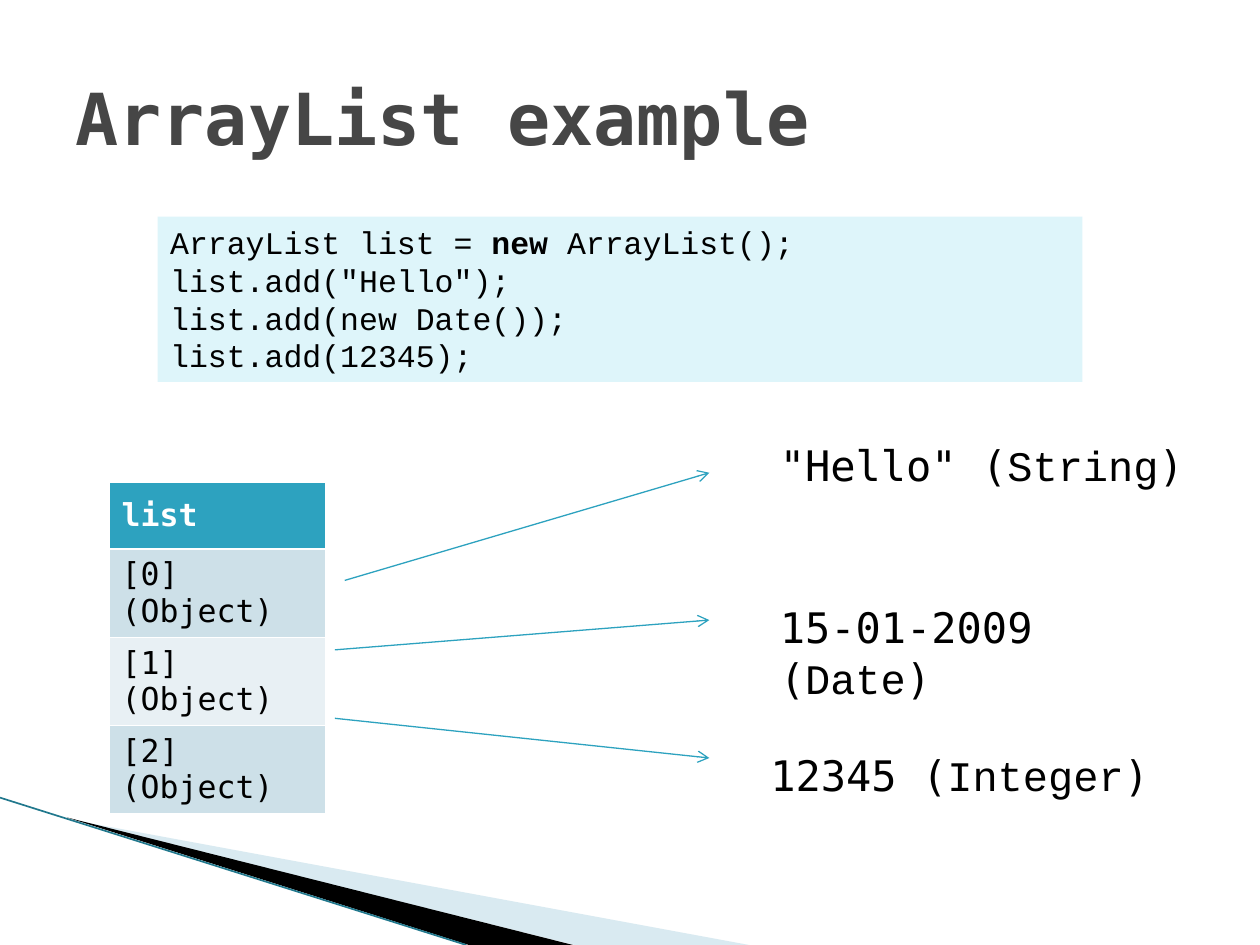
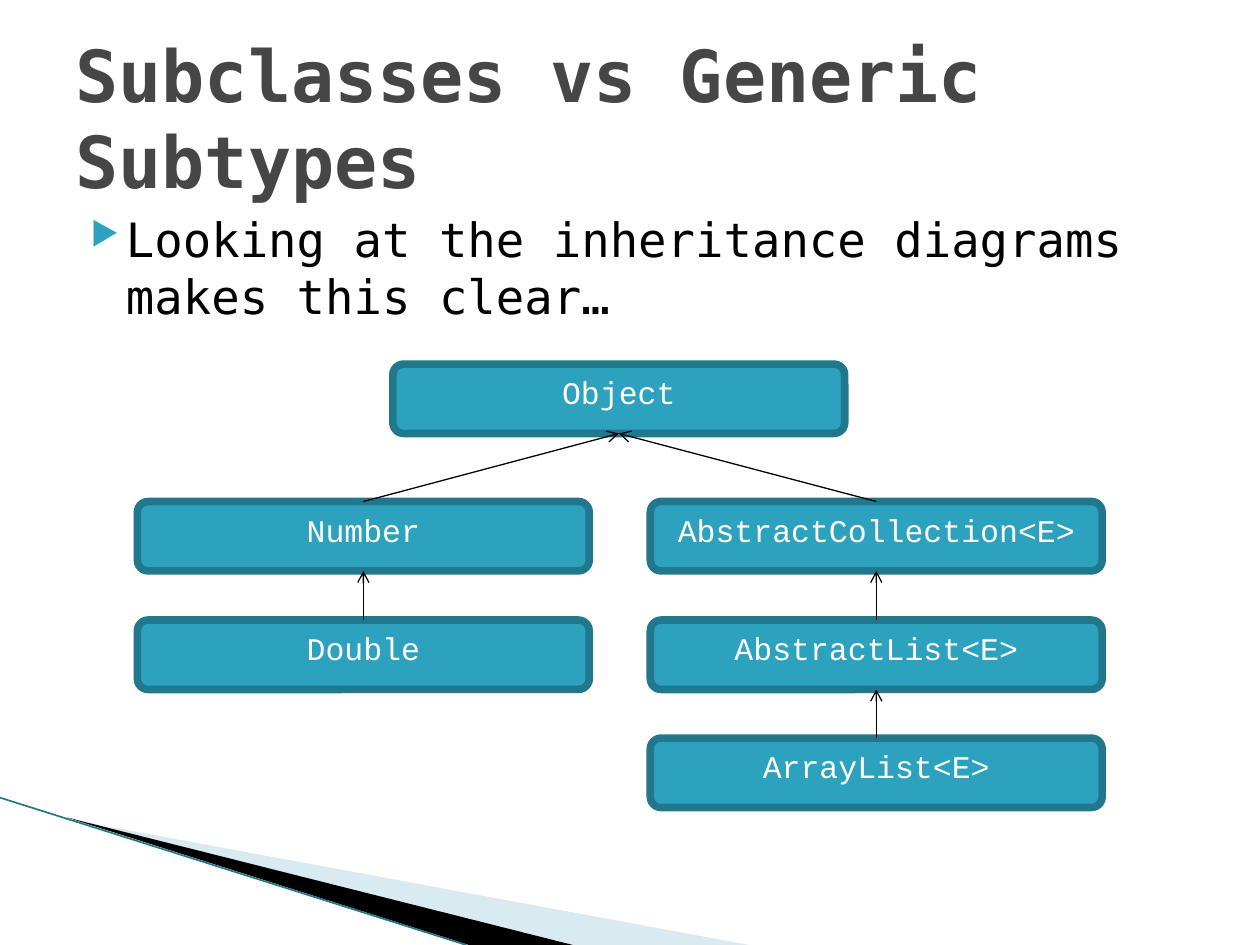
from lxml.etree import SubElement
from pptx import Presentation
from pptx.dml.color import RGBColor
from pptx.enum.shapes import MSO_CONNECTOR, MSO_SHAPE
from pptx.enum.text import MSO_ANCHOR, PP_ALIGN
from pptx.oxml.ns import qn
from pptx.util import Cm, Pt

TEAL = RGBColor(0x2D, 0xA2, 0xBF)
DARK_TEAL = RGBColor(0x21, 0x78, 0x8D)
PALE_TEAL = RGBColor(0xA0, 0xCB, 0xDC)
CODE_FILL = RGBColor(0xDE, 0xF5, 0xFA)
BAND_DARK = RGBColor(0xCD, 0xE0, 0xE8)
BAND_LIGHT = RGBColor(0xE8, 0xF0, 0xF4)
TITLE_GREY = RGBColor(0x46, 0x46, 0x46)
BLACK = RGBColor(0, 0, 0)
WHITE = RGBColor(0xFF, 0xFF, 0xFF)
SANS_MONO = "DejaVu Sans Mono"
COURIER = "Courier New"


def add_run(paragraph, text, size, font=SANS_MONO, colour=BLACK, bold=False):
    """Append one formatted run to a paragraph."""
    run = paragraph.add_run()
    run.text = text
    run.font.size = Pt(size)
    run.font.name = font
    run.font.color.rgb = colour
    run.font.bold = bold


def add_line(slide, start, end, colour, width=0.75, arrow=True):
    """Draw a straight line between two points in centimetres."""
    line = slide.shapes.add_connector(
        MSO_CONNECTOR.STRAIGHT, *(Cm(value) for value in start + end))
    line.line.color.rgb = colour
    line.line.width = Pt(width)
    if arrow:
        SubElement(line.line._get_or_add_ln(), qn("a:tailEnd"), type="arrow")
    SubElement(line._element.spPr, qn("a:effectLst"))
    return line


presentation = Presentation()
presentation.slide_width = Cm(25.4)
presentation.slide_height = Cm(19.05)

# Shared parts: corner bands and title
BANDS = [
    ([(1.4, 16.52), (15.1, 19.05), (11.58, 19.05)], PALE_TEAL, 40),
    ([(1.35, 16.48), (11.55, 19.05), (9.45, 19.05)], BLACK, 100),
]
slides = []
for title in ("ArrayList example", "Subclasses vs Generic Subtypes"):
    slide = presentation.slides.add_slide(presentation.slide_layouts[6])
    slides.append(slide)
    for points, colour, opacity in BANDS:
        corners = [(Cm(x), Cm(y)) for x, y in points]
        builder = slide.shapes.build_freeform(*corners[0])
        builder.add_line_segments(corners[1:], close=True)
        band = builder.convert_to_shape()
        band.shadow.inherit = False
        band.fill.solid()
        band.fill.fore_color.rgb = colour
        band.line.fill.background()
        if opacity < 100:
            colour_element = band._element.spPr.find(
                qn("a:solidFill")).find(qn("a:srgbClr"))
            SubElement(colour_element, qn("a:alpha"), val=str(opacity * 1000))
    add_line(slide, (0, 16.08), (9.4, 19.05), DARK_TEAL, 0.95, arrow=False)

    title_box = slide.shapes.add_textbox(Cm(1.27), Cm(0.76), Cm(22.86), Cm(3.18))
    title_box.text_frame.word_wrap = True
    title_box.text_frame.vertical_anchor = MSO_ANCHOR.MIDDLE
    add_run(title_box.text_frame.paragraphs[0], title, 41, colour=TITLE_GREY, bold=True)

list_slide, tree_slide = slides

# Slide 1: list table, arrows to the stored objects, code
table = list_slide.shapes.add_table(
    4, 1, Cm(2.2), Cm(9.73), Cm(4.37), Cm(5.36)).table
rows = [
    ("list", TEAL, WHITE),
    ("[0] (Object)", BAND_DARK, BLACK),
    ("[1] (Object)", BAND_LIGHT, BLACK),
    ("[2] (Object)", BAND_DARK, BLACK),
]
for index, (text, fill, colour) in enumerate(rows):
    cell = table.cell(index, 0)
    cell.fill.solid()
    cell.fill.fore_color.rgb = fill
    cell.vertical_anchor = MSO_ANCHOR.MIDDLE
    add_run(cell.text_frame.paragraphs[0], text, 18, colour=colour, bold=index == 0)

values = [
    ('"Hello"', "String", (15.47, 8.74), (6.95, 11.7), (14.3, 9.53)),
    ("15-01-2009", "Date", (15.47, 12.01), (6.75, 13.1), (14.3, 12.5)),
    ("12345", "Integer", (15.28, 14.99), (6.75, 14.48), (14.3, 15.28)),
]
for value, class_name, (left, top), start, end in values:
    add_line(list_slide, start, end, TEAL)
    label = list_slide.shapes.add_textbox(Cm(left), Cm(top), Cm(8.74), Cm(1.27))
    label.text_frame.word_wrap = True
    paragraph = label.text_frame.paragraphs[0]
    add_run(paragraph, value + " (", 24)
    add_run(paragraph, class_name, 24, COURIER)
    add_run(paragraph, ")", 24)

code_box = list_slide.shapes.add_shape(
    MSO_SHAPE.RECTANGLE, Cm(3.18), Cm(4.37), Cm(18.64), Cm(3.33))
code_box.shadow.inherit = False
code_box.fill.solid()
code_box.fill.fore_color.rgb = CODE_FILL
code_box.line.fill.background()
frame = code_box.text_frame
frame.vertical_anchor = MSO_ANCHOR.TOP
code_lines = [
    [("ArrayList list = ", False), ("new ", True), ("ArrayList();", False)],
    [('list.add("Hello");', False)],
    [("list.add(new Date());", False)],
    [("list.add(12345);", False)],
]
for index, runs in enumerate(code_lines):
    paragraph = frame.paragraphs[0] if index == 0 else frame.add_paragraph()
    paragraph.alignment = PP_ALIGN.LEFT
    for text, bold in runs:
        add_run(paragraph, text, 18, COURIER, bold=bold)

# Slide 2: bullet and inheritance tree
body = tree_slide.shapes.add_textbox(Cm(1.27), Cm(4.11), Cm(22.86), Cm(2.6))
body.text_frame.word_wrap = True
paragraph = body.text_frame.paragraphs[0]
paragraph.space_before = Pt(4)
properties = paragraph._p.get_or_add_pPr()
properties.set("marL", str(Cm(1.02)))
properties.set("indent", str(Cm(-0.71)))
bullet_colour = SubElement(properties, qn("a:buClr"))
SubElement(bullet_colour, qn("a:srgbClr"), val=str(TEAL))
SubElement(properties, qn("a:buSzPct"), val="68000")
SubElement(properties, qn("a:buChar"), char="▶")
add_run(paragraph, "Looking at the inheritance diagrams makes this clear…", 27)

LEFT, CENTRE, RIGHT = 2.77, 7.92, 13.11
ROW_TOPS = [7.34, 10.11, 12.5, 14.88]
# class name, column, row, parent class
classes = [
    ("Object", CENTRE, 0, None),
    ("Number", LEFT, 1, "Object"),
    ("Double", LEFT, 2, "Number"),
    ("AbstractCollection<E>", RIGHT, 1, "Object"),
    ("AbstractList<E>", RIGHT, 2, "AbstractCollection<E>"),
    ("ArrayList<E>", RIGHT, 3, "AbstractList<E>"),
]
boxes = {}
for name, left, row, parent in classes:
    box = tree_slide.shapes.add_shape(
        MSO_SHAPE.ROUNDED_RECTANGLE, Cm(left), Cm(ROW_TOPS[row]), Cm(9.11), Cm(1.4))
    boxes[name] = box
    box.adjustments[0] = 0.156
    box.shadow.inherit = False
    box.fill.solid()
    box.fill.fore_color.rgb = TEAL
    box.line.color.rgb = DARK_TEAL
    box.line.width = Pt(4.33)
    box.text_frame.vertical_anchor = MSO_ANCHOR.TOP
    paragraph = box.text_frame.paragraphs[0]
    paragraph.alignment = PP_ALIGN.CENTER
    add_run(paragraph, name, 18, COURIER, WHITE)

for name, left, row, parent in classes:
    if parent:
        arrow = add_line(tree_slide, (0, 0), (1, 1), BLACK)
        arrow.begin_connect(boxes[name], 0)
        arrow.end_connect(boxes[parent], 2)

presentation.save("out.pptx")
